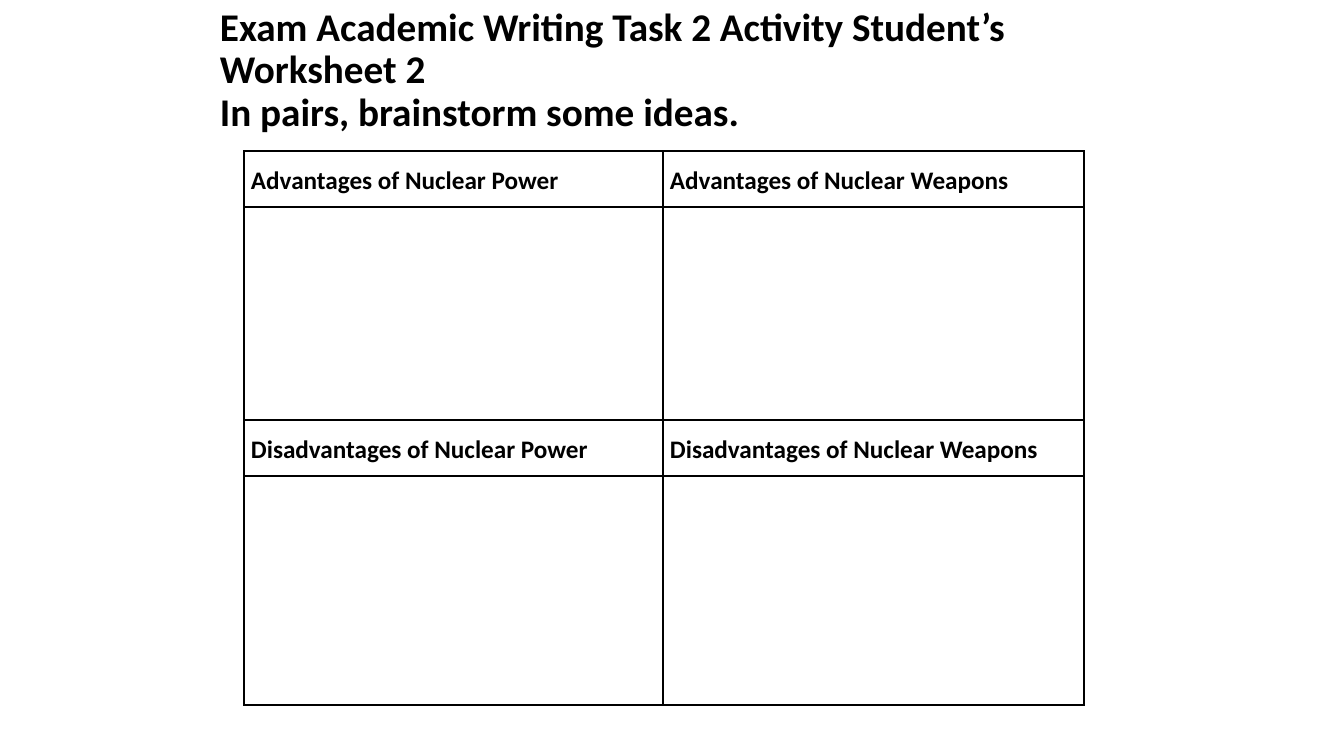
"""Build the brainstorming worksheet slide on nuclear power and weapons."""
from lxml import etree
from pptx import Presentation, util as u
from pptx.dml.color import RGBColor
from pptx.enum import text
from pptx.oxml.ns import qn

PX = 914400 / 100.8
COLOURS = {"ink": "000000", "paper": "FFFFFF"}


def px(length):
    return u.Emu(round(length * PX))


def write(frame, lines, size, spacing):
    for number, line in enumerate(lines):
        para = frame.paragraphs[0] if number == 0 else frame.add_paragraph()
        para.alignment = text.PP_ALIGN.LEFT
        para.line_spacing = spacing
        span = para.add_run()
        span.text = line
        span.font.name = "Calibri"
        span.font.size = u.Pt(size)
        span.font.bold = True
        span.font.color.rgb = RGBColor.from_string(COLOURS["ink"])


deck = Presentation()
deck.slide_width, deck.slide_height = px(1344), px(756)
page = deck.slides.add_slide(deck.slide_layouts[6])
page.background.fill.solid()
page.background.fill.fore_color.rgb = RGBColor.from_string(COLOURS["paper"])

title = page.shapes.add_textbox(px(210), px(8), px(907), px(126))
title.text_frame.word_wrap = True
title.text_frame.vertical_anchor = text.MSO_ANCHOR.MIDDLE
write(title.text_frame, [
    "Exam Academic Writing Task 2 Activity Student’s Worksheet 2",
    "In pairs, brainstorm some ideas.",
], size=28, spacing=0.9)

columns = [419, 421]
rows = [56, 213, 56, 229]
topics = ["Nuclear Power", "Nuclear Weapons"]
headings = {0: "Advantages", 2: "Disadvantages"}

table = page.shapes.add_table(len(rows), len(columns), px(244), px(151),
                              px(sum(columns)), px(sum(rows))).table
table.horz_banding = False
for column, width in zip(table.columns, columns):
    column.width = px(width)
for row, height in zip(table.rows, rows):
    row.height = px(height)

for r in range(len(rows)):
    for c, topic in enumerate(topics):
        cell = table.cell(r, c)
        cell.fill.background()
        cell.vertical_anchor = text.MSO_ANCHOR.MIDDLE
        cell.margin_left = cell.margin_right = px(7)
        cell.margin_top = cell.margin_bottom = 0
        if r in headings:
            write(cell.text_frame, [f"{headings[r]} of {topic}"], size=18, spacing=1.15)
        properties = cell._tc.get_or_add_tcPr()
        for position, side in enumerate(["lnL", "lnR", "lnT", "lnB"]):
            border = etree.Element(qn(f"a:{side}"), w=str(u.Pt(1)))
            fill = etree.SubElement(border, qn("a:solidFill"))
            etree.SubElement(fill, qn("a:srgbClr"), val=COLOURS["ink"])
            properties.insert(position, border)

deck.save("out.pptx")
